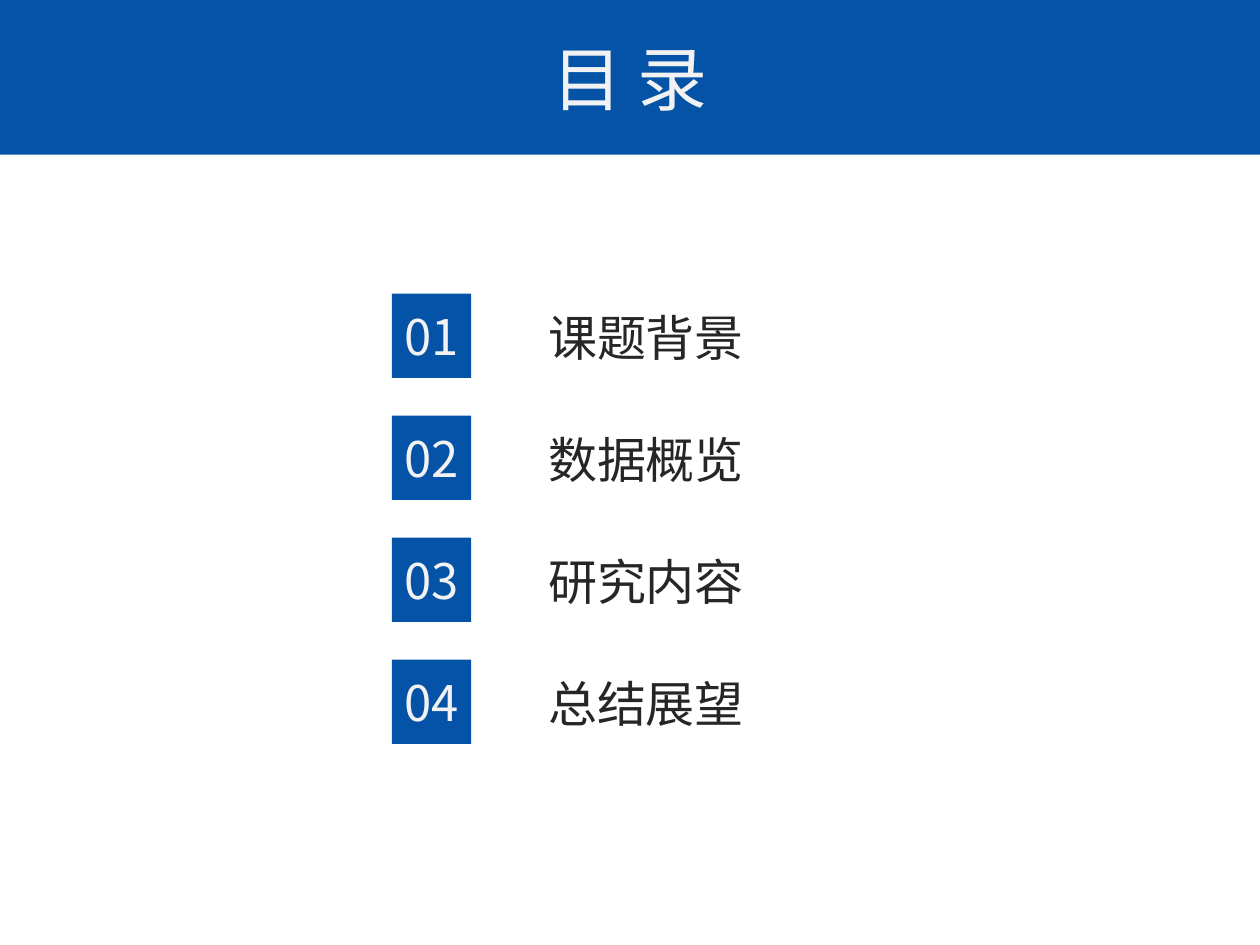
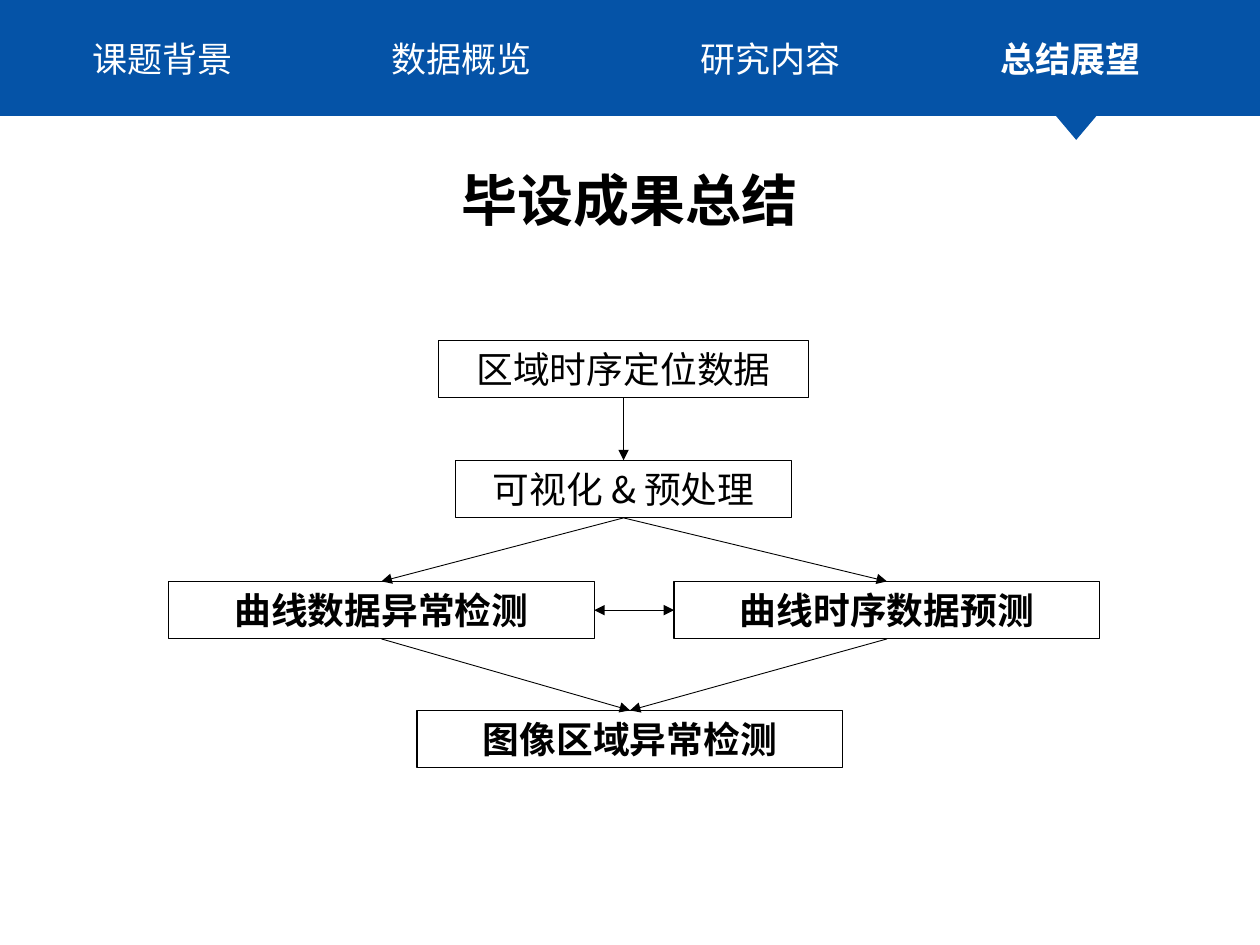
from lxml import etree
from pptx import Presentation
from pptx.dml.color import RGBColor
from pptx.enum.shapes import MSO_CONNECTOR, MSO_SHAPE
from pptx.enum.text import MSO_ANCHOR, MSO_AUTO_SIZE, PP_ALIGN
from pptx.oxml.ns import qn
from pptx.util import Cm, Pt

RECTANGLE = MSO_SHAPE.RECTANGLE
TRIANGLE = MSO_SHAPE.ISOSCELES_TRIANGLE
STRAIGHT = MSO_CONNECTOR.STRAIGHT
MIDDLE = MSO_ANCHOR.MIDDLE
NO_AUTOFIT = MSO_AUTO_SIZE.NONE
LEFT, CENTER = PP_ALIGN.LEFT, PP_ALIGN.CENTER
TOP_SIDE, LEFT_SIDE, BOTTOM_SIDE, RIGHT_SIDE = range(4)

BLUE = RGBColor(0x05, 0x53, 0xA7)
WHITE = RGBColor(0xFF, 0xFF, 0xFF)
OFF_WHITE = RGBColor(0xF2, 0xF2, 0xF2)
DARK_GRAY = RGBColor(0x26, 0x26, 0x26)
BLACK = RGBColor(0, 0, 0)

FONT = "Noto Sans CJK SC"
SLIDE_WIDTH, SLIDE_HEIGHT = 25.4, 19.05
TITLE_ONLY_LAYOUT = 5
SECTIONS = ("课题背景", "数据概览", "研究内容", "总结展望")
SECTION_CENTERS = (3.28, 9.3, 15.54, 21.58)


def write_text(shape, text, size=21, color=BLACK, bold=False, align=CENTER, wrap=True):
    frame = shape.text_frame
    frame.auto_size = NO_AUTOFIT
    frame.word_wrap = wrap
    frame.vertical_anchor = MIDDLE
    frame.margin_left = frame.margin_right = 0
    frame.margin_top = frame.margin_bottom = 0
    paragraph = frame.paragraphs[0]
    paragraph.alignment = align
    run = paragraph.add_run()
    run.text = text
    run.font.size = Pt(size)
    run.font.bold = bold
    run.font.color.rgb = color
    run.font.name = FONT
    properties = run.font._element
    etree.SubElement(properties, qn("a:ea")).set("typeface", FONT)


def add_label(slide, text, left, top, width, height, **text_format):
    box = slide.shapes.add_textbox(Cm(left), Cm(top), Cm(width), Cm(height))
    write_text(box, text, **text_format)


def add_filled_shape(slide, kind, left, top, width, height):
    shape = slide.shapes.add_shape(kind, Cm(left), Cm(top), Cm(width), Cm(height))
    shape.shadow.inherit = False
    shape.fill.solid()
    shape.fill.fore_color.rgb = BLUE
    shape.line.fill.background()
    return shape


def add_banded_slide(presentation, band_height):
    slide = presentation.slides.add_slide(presentation.slide_layouts[TITLE_ONLY_LAYOUT])
    band = add_filled_shape(slide, RECTANGLE, 0, 0, SLIDE_WIDTH, band_height)
    slide.shapes.title._element.addprevious(band._element)
    return slide


def set_title(slide, text, top, width, height, **text_format):
    title = slide.shapes.title
    title.left, title.top = Cm((SLIDE_WIDTH - width) / 2), Cm(top)
    title.width, title.height = Cm(width), Cm(height)
    write_text(title, text, wrap=False, **text_format)


def add_agenda_row(slide, number, text, top):
    square = add_filled_shape(slide, RECTANGLE, 7.9, top, 1.6, 1.7)
    write_text(square, f"{number:02}", size=28, color=OFF_WHITE)
    add_label(slide, text, 11.05, top + 0.15, 6, 1.45,
              size=28, color=DARK_GRAY, align=LEFT)


def add_navigation(slide, current):
    width = 4.57
    for section, center in zip(SECTIONS, SECTION_CENTERS):
        add_label(slide, section, center - width / 2, 0.61, width, 1.12,
                  size=20, color=WHITE, bold=section == current)
        if section == current:
            pointer = add_filled_shape(slide, TRIANGLE, center - 0.29, 2.34, 0.81, 0.48)
            pointer.rotation = 180


def add_step(slide, text, center, top, width=8.58, bold=False):
    step = slide.shapes.add_shape(
        RECTANGLE, Cm(center - width / 2), Cm(top), Cm(width), Cm(1.16))
    step.shadow.inherit = False
    step.fill.background()
    step.line.color.rgb = BLACK
    step.line.width = Pt(0.75)
    write_text(step, text, bold=bold)
    return step


def add_arrow(slide, start, end, sides=(BOTTOM_SIDE, TOP_SIDE), ends=("a:tailEnd",)):
    arrow = slide.shapes.add_connector(STRAIGHT, 0, 0, 0, 0)
    arrow.begin_connect(start, sides[0])
    arrow.end_connect(end, sides[1])
    arrow.line.color.rgb = BLACK
    arrow.line.width = Pt(0.5)
    line = arrow.line._get_or_add_ln()
    for tag in ends:
        etree.SubElement(line, qn(tag)).set("type", "triangle")
    etree.SubElement(arrow._element.spPr, qn("a:effectLst"))


def build_agenda(presentation):
    slide = add_banded_slide(presentation, 3.12)
    set_title(slide, "目 录", 0.58, 3.78, 1.96, size=40, color=OFF_WHITE)
    for index, section in enumerate(SECTIONS):
        add_agenda_row(slide, index + 1, section, 5.92 + 2.46 * index)


def build_summary(presentation):
    slide = add_banded_slide(presentation, 2.34)
    add_navigation(slide, SECTIONS[-1])
    set_title(slide, "毕设成果总结", 3.2, 7.34, 1.63, size=32, bold=True)

    source_data = add_step(slide, "区域时序定位数据", 12.57, 6.86, width=7.45)
    preparation = add_step(slide, "可视化 & 预处理", 12.57, 9.28, width=6.78)
    curve_detection = add_step(slide, "曲线数据异常检测", 7.69, 11.72, bold=True)
    curve_forecast = add_step(slide, "曲线时序数据预测", 17.88, 11.72, bold=True)
    image_detection = add_step(slide, "图像区域异常检测", 12.7, 14.32, bold=True)

    add_arrow(slide, source_data, preparation)
    for branch in (curve_detection, curve_forecast):
        add_arrow(slide, preparation, branch)
        add_arrow(slide, branch, image_detection)
    add_arrow(slide, curve_detection, curve_forecast,
              sides=(RIGHT_SIDE, LEFT_SIDE), ends=("a:headEnd", "a:tailEnd"))


def main():
    presentation = Presentation()
    presentation.slide_width = Cm(SLIDE_WIDTH)
    presentation.slide_height = Cm(SLIDE_HEIGHT)
    build_agenda(presentation)
    build_summary(presentation)
    presentation.save("out.pptx")


if __name__ == "__main__":
    main()
